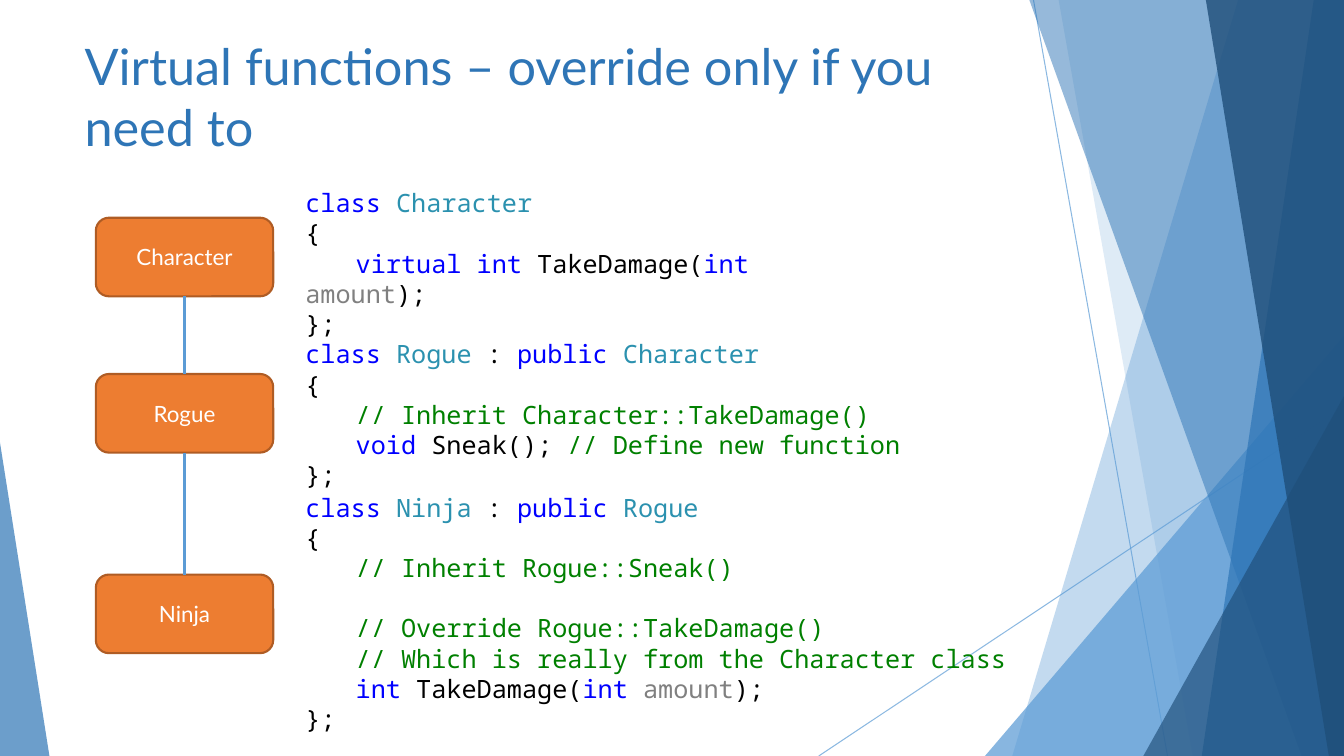
from pptx import Presentation
from pptx.util import Inches, Pt
from pptx.dml.color import RGBColor
from pptx.enum.shapes import MSO_SHAPE, MSO_CONNECTOR
from pptx.enum.text import PP_ALIGN, MSO_ANCHOR
from pptx.oxml.ns import qn
from lxml.etree import SubElement

hues = {
    "sky": "5B9BD5", "blue": "2E75B6", "navy": "1F4E79",
    "box": "ED7D31", "edge": "AF5C24", "white": "FFFFFF",
    "key": "0000FF", "type": "2B91AF", "text": "000000",
    "arg": "808080", "note": "008000",
}
deck = Presentation()
deck.slide_width, deck.slide_height = Inches(13.33), Inches(7.5)
col, row = deck.slide_width / 100, deck.slide_height / 100
slide = deck.slides.add_slide(deck.slide_layouts[6])
shapes = slide.shapes
art = shapes.add_group_shape().shapes


def area(x, y, w, h):
    return [int(x * col), int(y * row), int(w * col), int(h * row)]


def paint(fill, hue, alpha=100):
    fill.solid()
    fill.fore_color.rgb = RGBColor.from_string(hues[hue])
    if alpha < 100:
        tint = fill._xPr.find(qn("a:solidFill"))[0]
        SubElement(tint, qn("a:alpha")).set("val", str(alpha * 1000))


for x1, y1, x2, y2 in [(76.9, 0, 86.87, 100), (100, 53.73, 60.92, 100)]:
    ray = art.add_connector(MSO_CONNECTOR.STRAIGHT, *area(x1, y1, x2, y2))
    paint(ray.line.fill, "sky", 70)
    ray.line.width = Pt(0.75)
    SubElement(ray._element.spPr, qn("a:effectLst"))

shards = [
    ("band", 92.12, 75.32, "sky", 36),
    ("band", 78.77, 88.75, "sky", 20),
    ("peak", 1, (73.29, 44.4, 26.71, 55.6), "sky", 72),
    ("band", 76.59, 96.85, "blue", 50),
    ("band", 97.75, 89.42, "blue", 70),
    ("band", 89.72, 98.87, "navy", 80),
    ("peak", 1, (85.07, 52.4, 14.93, 47.6), "navy", 66),
    ("peak", 0, (0, 58.53, 3.68, 41.47), "blue", 70),
]
for kind, head, foot, hue, alpha in shards:
    if kind == "band":
        pen = art.build_freeform(int(head * col), 0)
        pen.add_line_segments([area(*p, 0, 0)[:2] for p in [(100, 0), (100, 100), (foot, 100)]])
        shard = pen.convert_to_shape()
    else:
        shard = art.add_shape(MSO_SHAPE.ISOSCELES_TRIANGLE, *area(*foot))
        shard.adjustments[0] = head
    shard.shadow.inherit = False
    shard.line.fill.background()
    paint(shard.fill, hue, alpha)

title = shapes.add_textbox(*area(5.55, 4, 70.52, 19.2)).text_frame
title.word_wrap = True
line = title.paragraphs[0]
line.text = "Virtual functions – override only if you need to"
line.font.name, line.font.size = "Lato", Pt(36)
paint(line.font.fill, "blue")

boxes = []
for name, top in [("Character", 28.8), ("Rogue", 49.47), ("Ninja", 76)]:
    box = shapes.add_shape(MSO_SHAPE.ROUNDED_RECTANGLE, *area(7.13, top, 13.2, 10.4))
    box.shadow.inherit = False
    paint(box.fill, "box")
    paint(box.line.fill, "edge")
    box.line.width = Pt(1.5)
    box.text_frame.vertical_anchor = MSO_ANCHOR.MIDDLE
    line = box.text_frame.paragraphs[0]
    line.text, line.alignment = name, PP_ALIGN.CENTER
    line.font.name, line.font.size = "Lato", Pt(16)
    paint(line.font.fill, "white")
    boxes.append(box)

for base, child in zip(boxes, boxes[1:]):
    link = shapes.add_connector(MSO_CONNECTOR.STRAIGHT, 0, 0, 0, 0)
    link.begin_connect(child, 0)
    link.end_connect(base, 2)
    paint(link.line.fill, "sky")
    link.line.width = Pt(2.25)
    SubElement(link._element.spPr, qn("a:effectLst"))

start, end = [("text", "{")], [("text", "};")]
damage = [("text", "TakeDamage("), ("key", "int "), ("arg", "amount"), ("text", ");")]
codes = [
    (24.13, 42.31, 17.47, [
        [("key", "class "), ("type", "Character")],
        start,
        [("key", "\tvirtual int ")] + damage,
        end,
    ]),
    (44.13, 50.04, 21.6, [
        [("key", "class "), ("type", "Rogue"), ("text", " : "), ("key", "public "), ("type", "Character")],
        start,
        [("note", "\t// Inherit Character::TakeDamage()")],
        [("key", "\tvoid "), ("text", "Sneak(); "), ("note", "// Define new function")],
        end,
    ]),
    (64.4, 62.57, 33.6, [
        [("key", "class "), ("type", "Ninja "), ("text", ": "), ("key", "public "), ("type", "Rogue")],
        start,
        [("note", "\t// Inherit Rogue::Sneak()")],
        [("note", "\t// Override Rogue::TakeDamage()")],
        [("note", "\t// Which is really from the Character class")],
        [("key", "\tint ")] + damage,
        end,
    ]),
]
pitch = Pt(21.6)
for top, wide, high, lines in codes:
    frame = shapes.add_textbox(*area(21.98, top, wide, high)).text_frame
    frame.word_wrap = True
    for i, parts in enumerate(lines):
        line = frame.add_paragraph() if i else frame.paragraphs[0]
        line.font.name, line.font.size = "Noto Sans Mono", Pt(18)
        line.line_spacing = pitch
        line._p.get_or_add_pPr().set("defTabSz", str(Inches(0.5)))
        if "Override" in parts[0][1]:
            line.space_before = pitch
        for hue, text in parts:
            run = line.add_run()
            run.text = text
            paint(run.font.fill, hue)

deck.save("out.pptx")
